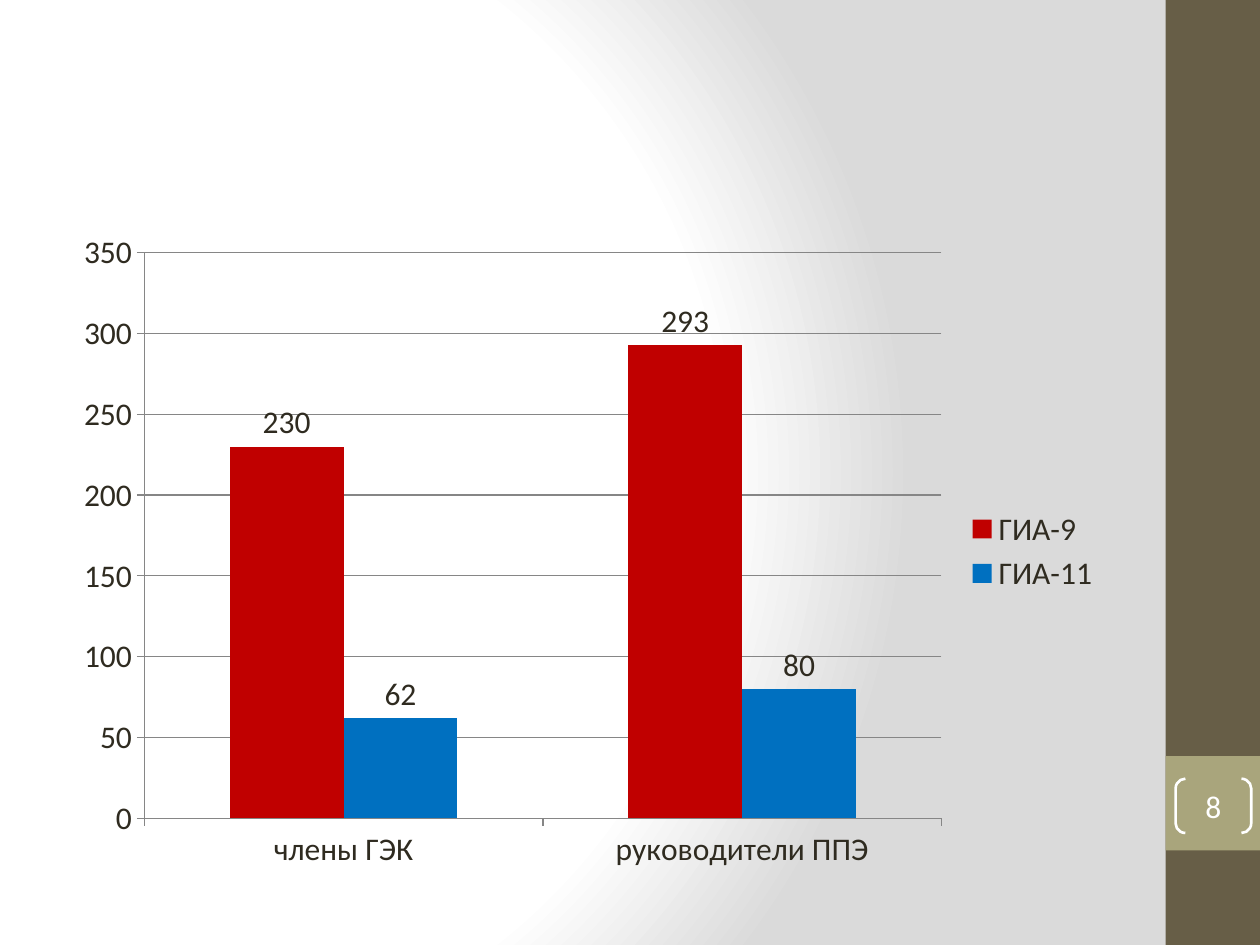
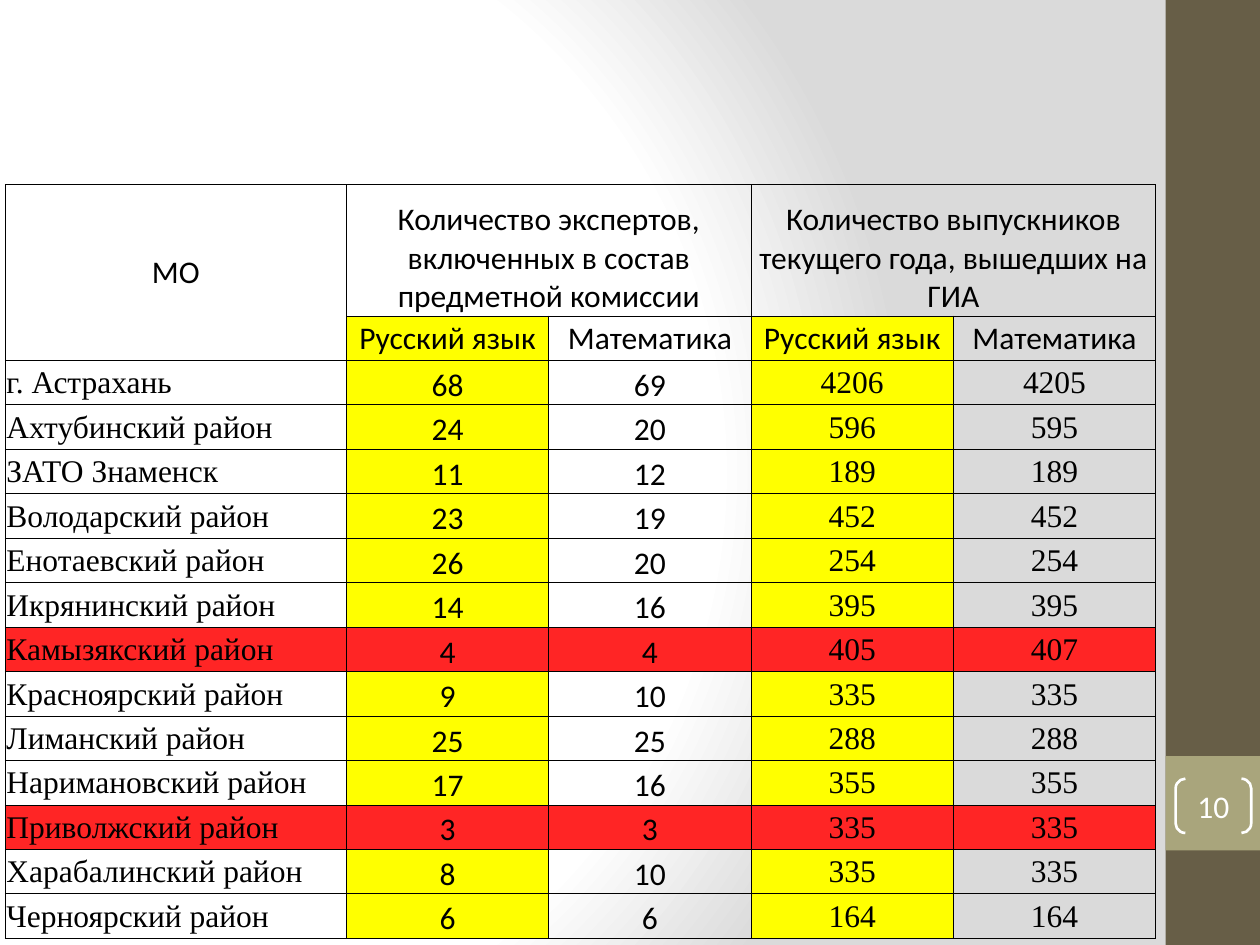
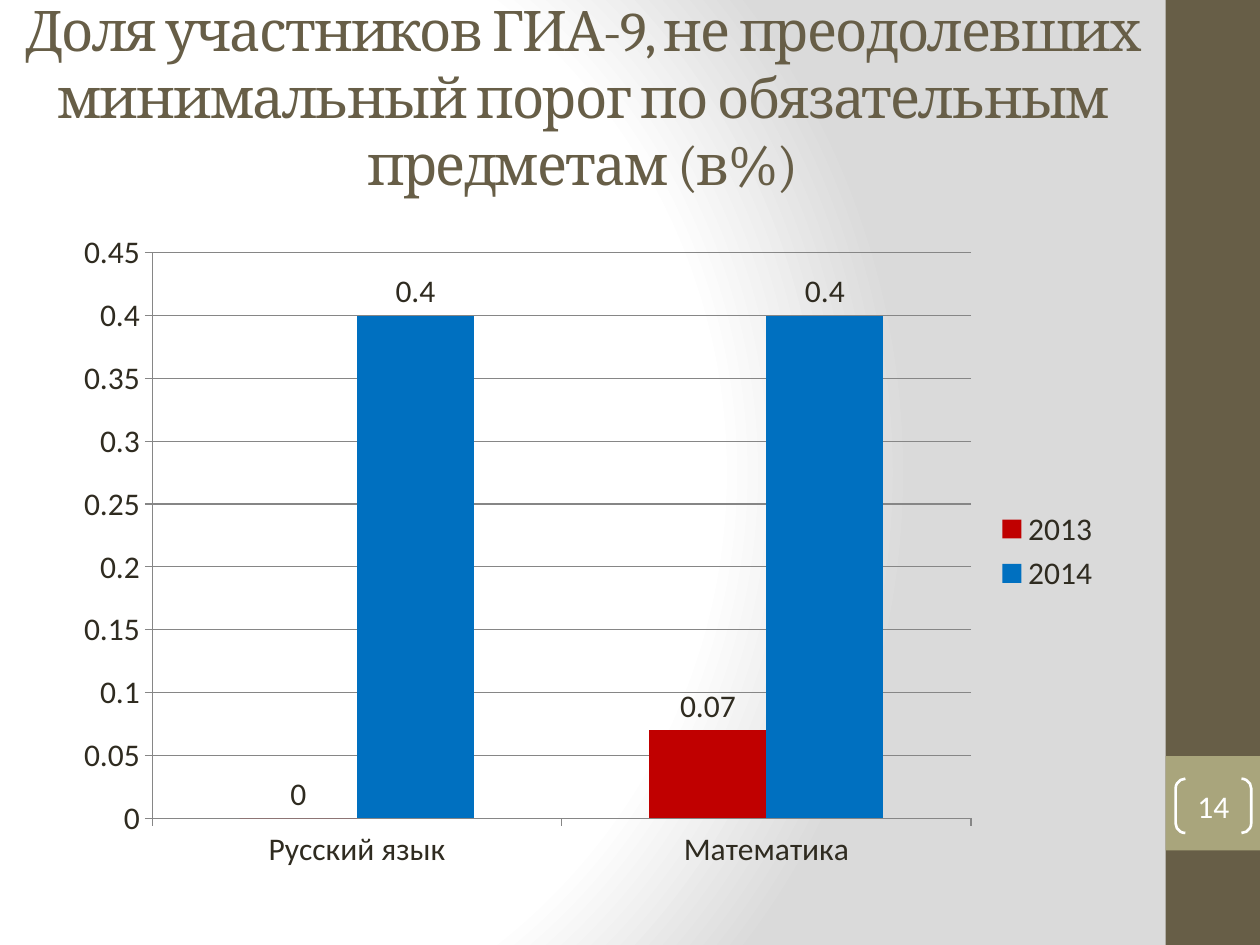
from lxml import etree
from pptx import Presentation
from pptx.chart.data import CategoryChartData
from pptx.dml.color import RGBColor
from pptx.enum.chart import XL_CHART_TYPE as ChartType, XL_LABEL_POSITION as LabelPosition
from pptx.enum.chart import XL_LEGEND_POSITION as LegendPosition, XL_TICK_MARK as TickMark
from pptx.enum.shapes import MSO_SHAPE as Preset
from pptx.enum.text import MSO_ANCHOR as Anchor, MSO_AUTO_SIZE as AutoSize, PP_ALIGN as Align
from pptx.oxml import parse_xml
from pptx.oxml.ns import nsdecls, qn
from pptx.util import Pt

OLIVE, SAGE, INK, AXIS_GREY = "675E47", "A9A57C", "2F2B20", "868686"
RED, BLUE, YELLOW, ALERT = "C00000", "0070C0", "FFFF00", "FF2525"
WHITE, BLACK = "FFFFFF", "000000"
BODY_FONT, TITLE_FONT, DATA_FONT = "Calibri", "Cambria", "Times New Roman"
BAND_LEFT, BAND_WIDTH = 666, 54


def color(hex_code):
    return RGBColor.from_string(hex_code)


def add_run(paragraph, text, font_name, size, hex_code):
    run = paragraph.add_run()
    run.text = text
    run.font.name = font_name
    run.font.size = Pt(size)
    run.font.color.rgb = color(hex_code)
    return run


prs = Presentation()
prs.slide_width, prs.slide_height = Pt(720), Pt(540)

# Background shared by all slides: a radial fade from white to grey
master = prs.slide_master
master.background.fill.gradient()
fade = next(master.element.iter(qn("a:gradFill")))
fade.getparent().replace(fade, parse_xml(
    f'<a:gradFill {nsdecls("a")} rotWithShape="1"><a:gsLst>'
    '<a:gs pos="0"><a:srgbClr val="FFFFFF"/></a:gs>'
    '<a:gs pos="75000"><a:srgbClr val="FFFFFF"/></a:gs>'
    '<a:gs pos="100000"><a:srgbClr val="DADADA"/></a:gs></a:gsLst>'
    '<a:path path="circle"><a:fillToRect l="20000" t="50000" r="100000" b="50000"/></a:path>'
    '</a:gradFill>'))

# Slides with the side band and the bracketed number
title_only, blank = prs.slide_layouts[5], prs.slide_layouts[6]
slides = []
for layout, number in ((blank, "8"), (blank, "10"), (title_only, "14")):
    slide = prs.slides.add_slide(layout)
    slides.append(slide)
    for top, height, band_color in ((0, 540, OLIVE), (432, 54, SAGE)):
        band = slide.shapes.add_shape(
            Preset.RECTANGLE, Pt(BAND_LEFT), Pt(top), Pt(BAND_WIDTH), Pt(height))
        band.shadow.inherit = False
        band.fill.solid()
        band.fill.fore_color.rgb = color(band_color)
        band.line.fill.background()

    brackets = slide.shapes.add_shape(Preset.DOUBLE_BRACKET, Pt(671.8), Pt(445), Pt(43.2), Pt(31))
    brackets.adjustments[0] = 0.18
    brackets.shadow.inherit = False
    brackets.fill.background()
    brackets.line.color.rgb = color(WHITE)
    brackets.line.width = Pt(1.5)
    frame = brackets.text_frame
    frame.margin_left = frame.margin_right = frame.margin_top = frame.margin_bottom = 0
    frame.vertical_anchor = Anchor.MIDDLE
    frame.paragraphs[0].alignment = Align.CENTER
    add_run(frame.paragraphs[0], number, BODY_FONT, 18, WHITE)

staff_slide, experts_slide, failures_slide = slides

# Title of the last slide
title = failures_slide.shapes.title
title.left, title.top, title.width, title.height = Pt(0), Pt(10), Pt(BAND_LEFT), Pt(90)
title.text_frame.auto_size = AutoSize.NONE
title.text_frame.vertical_anchor = Anchor.MIDDLE
heading = title.text_frame.paragraphs[0]
heading.alignment = Align.CENTER
heading_run = add_run(
    heading, "Доля участников ГИА-9, не преодолевших минимальный порог по обязательным предметам (в%)",
    TITLE_FONT, 32, OLIVE)
heading_run.font._element.set("spc", "-100")

# Column charts
charts = (
    (staff_slide, ("члены ГЭК", "руководители ППЭ"),
     (("ГИА-9", (230, 293)), ("ГИА-11", (62, 80)))),
    (failures_slide, ("Русский язык", "Математика"),
     (("2013", (0, 0.07)), ("2014", (0.4, 0.4)))),
)
for slide, categories, series_values in charts:
    data = CategoryChartData()
    data.categories = categories
    for name, values in series_values:
        data.add_series(name, values)
    chart = slide.shapes.add_chart(
        ChartType.COLUMN_CLUSTERED, Pt(36), Pt(126), Pt(600), Pt(378), data).chart
    chart.font.name = BODY_FONT
    chart.font.size = Pt(18)
    chart.font.color.rgb = color(INK)
    chart.has_title = False
    chart.has_legend = True
    chart.legend.position = LegendPosition.RIGHT
    chart.legend.include_in_layout = False

    chart.value_axis.has_major_gridlines = True
    for line in (chart.category_axis.format.line, chart.value_axis.format.line,
                 chart.value_axis.major_gridlines.format.line):
        line.color.rgb = color(AXIS_GREY)
        line.width = Pt(0.75)
    for axis in (chart.category_axis, chart.value_axis):
        axis.major_tick_mark = TickMark.OUTSIDE
        axis.minor_tick_mark = TickMark.NONE

    plot = chart.plots[0]
    plot.gap_width = 150
    plot.overlap = 0
    plot.vary_by_categories = False
    for series, series_color in zip(plot.series, (RED, BLUE)):
        series.format.fill.solid()
        series.format.fill.fore_color.rgb = color(series_color)
        series.invert_if_negative = False
        series.data_labels.show_value = True
        series.data_labels.position = LabelPosition.OUTSIDE_END

# Table of experts and graduates by municipality
subjects = ("Русский язык", "Математика")
rows = (
    ("МО", "Количество экспертов, включенных в состав предметной комиссии", "",
     "Количество выпускников текущего года, вышедших на ГИА", ""),
    ("", *subjects, *subjects),
    ("г. Астрахань", 68, 69, 4206, 4205),
    ("Ахтубинский район", 24, 20, 596, 595),
    ("ЗАТО Знаменск", 11, 12, 189, 189),
    ("Володарский район", 23, 19, 452, 452),
    ("Енотаевский район", 26, 20, 254, 254),
    ("Икрянинский район", 14, 16, 395, 395),
    ("Камызякский район", 4, 4, 405, 407),
    ("Красноярский район", 9, 10, 335, 335),
    ("Лиманский район", 25, 25, 288, 288),
    ("Наримановский район", 17, 16, 355, 355),
    ("Приволжский район", 3, 3, 335, 335),
    ("Харабалинский район", 8, 10, 335, 335),
    ("Черноярский район", 6, 6, 164, 164),
)
understaffed = ("Камызякский район", "Приволжский район")
expert_columns, russian_columns = (1, 2), (1, 3)

table = experts_slide.shapes.add_table(
    len(rows), 5, Pt(3), Pt(105.6), Pt(657.4), Pt(430.6)).table
table.first_row = table.horz_banding = False
for c, column in enumerate(table.columns):
    column.width = Pt(115.6 if c else 195)
for r, table_row in enumerate(table.rows):
    table_row.height = Pt(25.4 if r else 75)

for r, row in enumerate(rows):
    for c, value in enumerate(row):
        cell = table.cell(r, c)
        cell.margin_left = cell.margin_right = cell.margin_top = Pt(0.7)
        cell.margin_bottom = 0
        is_data = r >= 2
        at_bottom = c in expert_columns if is_data else r == 0 and c > 0
        cell.vertical_anchor = Anchor.BOTTOM if at_bottom else Anchor.MIDDLE

        cell_props = cell._tc.get_or_add_tcPr()
        for side in ("lnL", "lnR", "lnT", "lnB"):
            border = etree.SubElement(cell_props, qn(f"a:{side}"), w=str(Pt(0.5)))
            border_fill = etree.SubElement(border, qn("a:solidFill"))
            etree.SubElement(border_fill, qn("a:srgbClr"), val=BLACK)

        if row[0] in understaffed:
            cell.fill.solid()
            cell.fill.fore_color.rgb = color(ALERT)
        elif r > 0 and c in russian_columns:
            cell.fill.solid()
            cell.fill.fore_color.rgb = color(YELLOW)
        else:
            cell.fill.background()

        paragraph = cell.text_frame.paragraphs[0]
        paragraph.alignment = Align.LEFT if is_data and c == 0 else Align.CENTER
        if value != "":
            font_name = DATA_FONT if is_data and c not in expert_columns else BODY_FONT
            add_run(paragraph, str(value), font_name, 18, BLACK)

table.cell(0, 0).merge(table.cell(1, 0))
table.cell(0, 1).merge(table.cell(0, 2))
table.cell(0, 3).merge(table.cell(0, 4))

prs.save("out.pptx")
